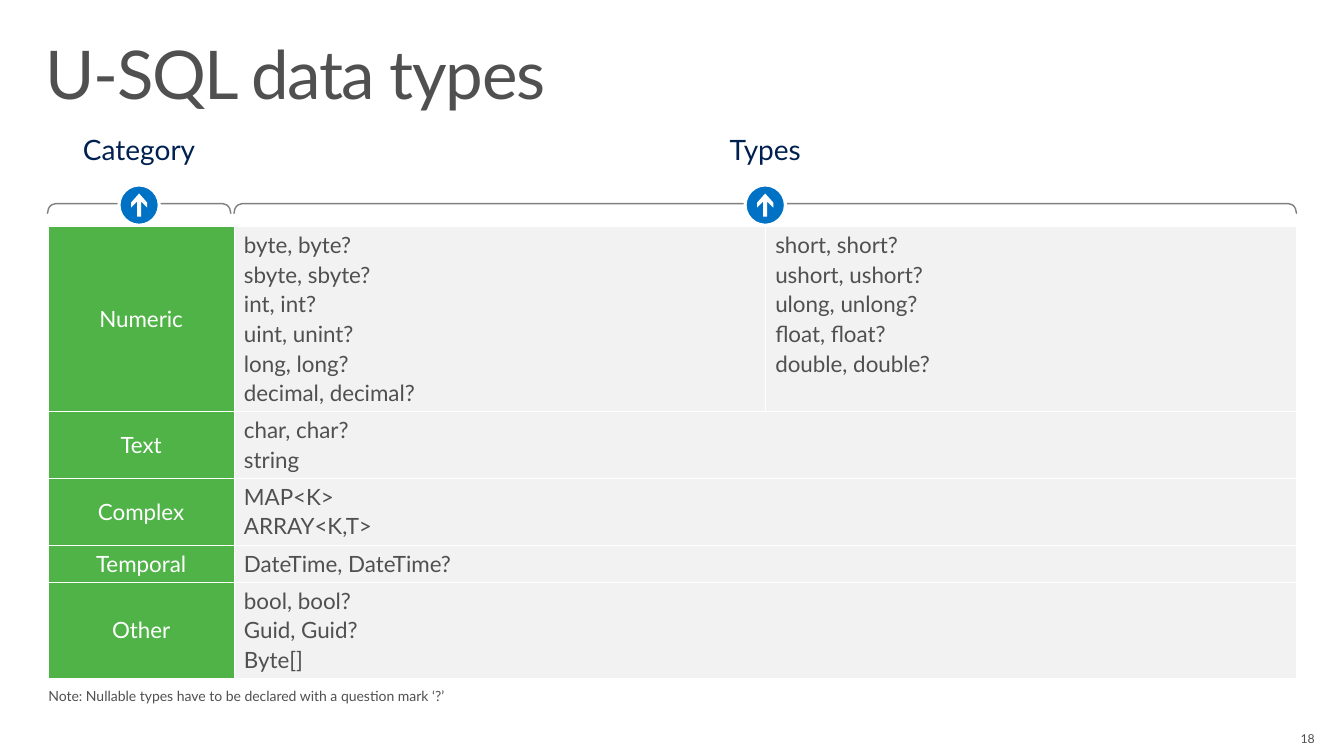
from lxml import etree
from pptx import Presentation
from pptx import util as u
from pptx.dml.color import RGBColor
from pptx.enum import shapes, text
from pptx.oxml.ns import qn

HUES = {"ink": "505050", "navy": "002050", "blue": "0072C6", "green": "50B347",
        "pale": "F2F2F2", "gray": "808080", "white": "FFFFFF"}
LEFT, TOP = 4.8, 22.5
COLS = [18.4, 52.7, 52.7]
ROWS = [
    ("Numeric", 18.3, ["byte, byte?", "sbyte, sbyte?", "int, int?", "uint, unint?",
                       "long, long?", "decimal, decimal?"],
     ["short, short?", "ushort, ushort?", "ulong, unlong?", "float, float?",
      "double, double?"]),
    ("Text", 6.63, ["char, char?", "string"], None),
    ("Complex", 6.63, ["MAP<K>", "ARRAY<K,T>"], None),
    ("Temporal", 3.67, ["DateTime, DateTime?"], None),
    ("Other", 9.5, ["bool, bool?", "Guid, Guid?", "Byte[]"], None),
]
ARROW = [(-0.2, -0.35), (-0.8, 0.25), (-0.8, -0.25), (0, -1.15), (0.8, -0.25),
         (0.8, 0.25), (0.2, -0.35), (0.2, 1.15), (-0.2, 1.15)]


def grid(*cells):
    """Turn grid steps, ten to the inch, into lengths."""
    return [u.Inches(cell / 10) for cell in cells]


def hue(name):
    return RGBColor.from_string(HUES[name])


def paint(part, name):
    part.fill.solid()
    part.fill.fore_color.rgb = hue(name)


def write(frame, lines, size, tint, align=text.PP_ALIGN.LEFT, after=0):
    for i, line in enumerate(lines):
        para = frame.paragraphs[0] if i == 0 else frame.add_paragraph()
        para.alignment = align
        para.space_before, para.space_after = u.Pt(0), u.Pt(after)
        run = para.add_run()
        run.text = line
        for key, value in {"name": "Lato", "size": u.Pt(size)}.items():
            setattr(run.font, key, value)
        run.font.color.rgb = hue(tint)


def inset(frame, sides):
    for side, value in zip(("left", "top", "right", "bottom"), grid(*sides)):
        setattr(frame, "margin_" + side, value)


def title(slide, box):
    head = slide.shapes.title
    for key, value in zip(("left", "top", "width", "height"), grid(*box)):
        setattr(head, key, value)
    frame = head.text_frame
    frame.auto_size = text.MSO_AUTO_SIZE.NONE
    frame.vertical_anchor = text.MSO_ANCHOR.TOP
    inset(frame, (1.6, 1, 1.6, 1))
    write(frame, ["U-SQL data types"], 48, "ink")
    para = frame.paragraphs[0]
    para.line_spacing = 0.9
    para.runs[0]._r.get_or_add_rPr().set("spc", "-100")


def label(slide, box, line, size, tint="ink", align=text.PP_ALIGN.LEFT,
          sides=(0, 0, 0, 0), wrap=True):
    frame = slide.shapes.add_textbox(*grid(*box)).text_frame
    frame.word_wrap = wrap
    inset(frame, sides)
    write(frame, [line], size, tint, align)
    return frame


def badge(slide, x, y):
    """Ringed blue disc with an upward arrow, centred on x, y."""
    disc = slide.shapes.add_shape(shapes.MSO_SHAPE.OVAL, *grid(x - 2, y - 2, 4, 4))
    paint(disc, "blue")
    disc.line.color.rgb = hue("white")
    disc.line.width = u.Pt(2.25)
    points = [tuple(grid(x + dx, y + dy)) for dx, dy in ARROW]
    form = slide.shapes.build_freeform(*points[0])
    form.add_line_segments(points[1:])
    arrow = form.convert_to_shape()
    paint(arrow, "white")
    arrow.line.fill.background()
    for part in (disc, arrow):
        part.shadow.inherit = False


def heading(slide, x, wide, line):
    """Label, bracket and badge above the columns from x to x + wide."""
    mid = x + wide / 2
    label(slide, (mid - 7, 12.7, 14, 4.4), line, 20, "navy",
          text.PP_ALIGN.CENTER, (1, 0.5, 1, 0.5), False)
    edge = slide.shapes.add_shape(shapes.MSO_SHAPE.RIGHT_BRACKET,
                                  *grid(mid - 0.5, 20.7 - wide / 2, 1, wide))
    edge.rotation = 270
    edge.adjustments[0] = 0.8
    edge.fill.background()
    edge.line.color.rgb = hue("gray")
    edge.line.width = u.Pt(1)
    edge.shadow.inherit = False
    badge(slide, mid, 20.35)


def border(cell, sides):
    props = cell._tc.get_or_add_tcPr()
    for i, side in enumerate(sides):
        line = etree.Element(qn("a:" + side), w=str(u.Pt(0.5)))
        fill = etree.SubElement(line, qn("a:solidFill"))
        etree.SubElement(fill, qn("a:srgbClr"), val=HUES["white"])
        props.insert(i, line)


def types(slide, x, y):
    high = sum(row[1] for row in ROWS)
    table = slide.shapes.add_table(len(ROWS), len(COLS),
                                   *grid(x, y, sum(COLS), high)).table
    table.first_row = table.horz_banding = False
    for col, wide in zip(table.columns, grid(*COLS)):
        col.width = wide
    for r, (name, tall, left, right) in enumerate(ROWS):
        table.rows[r].height = grid(tall)[0]
        for c, lines in enumerate(([name], left, right)):
            cell = table.cell(r, c)
            paint(cell, "pale" if c else "green")
            border(cell, ("lnL", "lnR", "lnT", "lnB"))
            if c == 0:
                cell.vertical_anchor = text.MSO_ANCHOR.MIDDLE
                write(cell.text_frame, lines, 16, "white", text.PP_ALIGN.CENTER)
            elif lines:
                write(cell.text_frame, lines, 16, "ink", after=2)
        if right is None:
            table.cell(r, 1).merge(table.cell(r, 2))


def main():
    deck = Presentation()
    deck.slide_width, deck.slide_height = grid(133.3, 75)
    slide = deck.slides.add_slide(deck.slide_layouts[5])
    title(slide, (2.9, 3.1, 127.4, 10.1))
    types(slide, LEFT, TOP)
    heading(slide, LEFT - 0.1, COLS[0] - 0.2, "Category")
    heading(slide, LEFT + COLS[0], sum(COLS[1:]), "Types")
    label(slide, (LEFT, 68.2, 81.3, 1.7),
          "Note: Nullable types have to be declared with a question mark ‘?’", 10)
    page = label(slide, (124.3, 72.5, 6.1, 1.5), "18", 8.8, align=text.PP_ALIGN.RIGHT)
    page.vertical_anchor = text.MSO_ANCHOR.MIDDLE
    deck.save("out.pptx")


if __name__ == "__main__":
    main()
